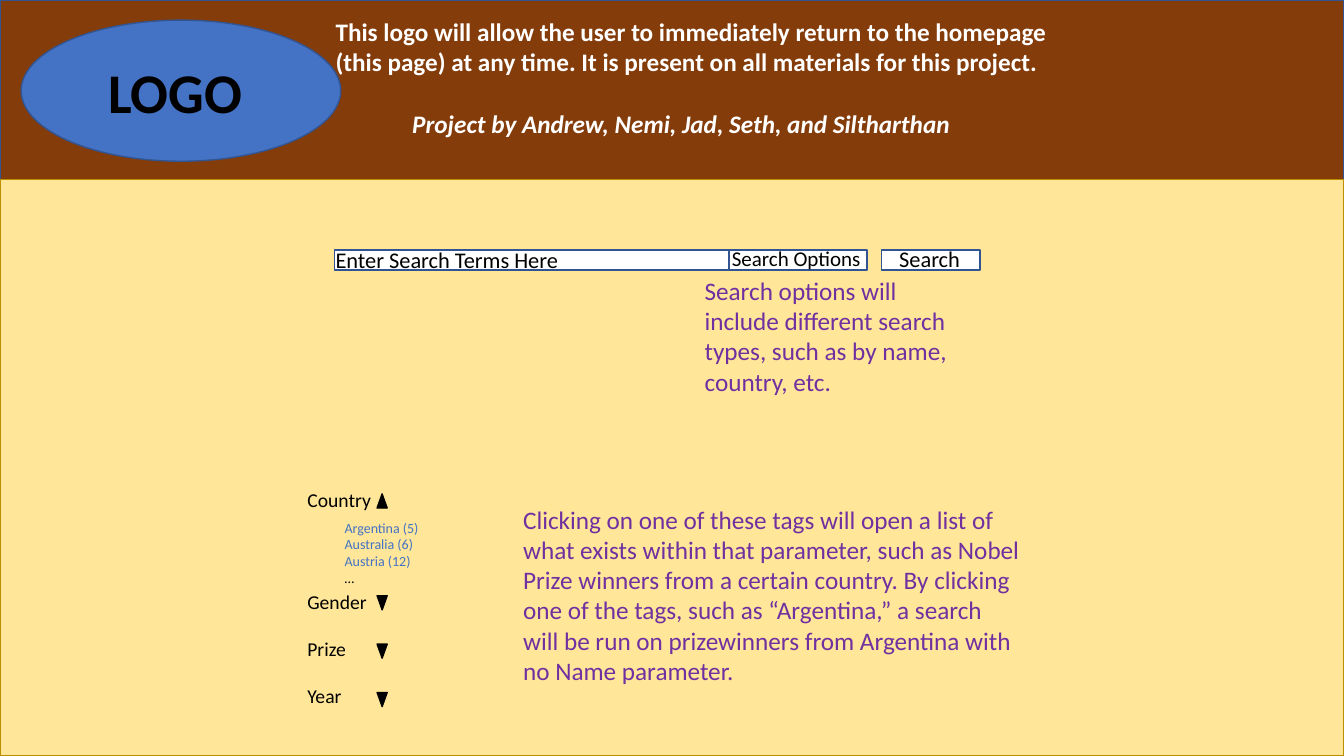
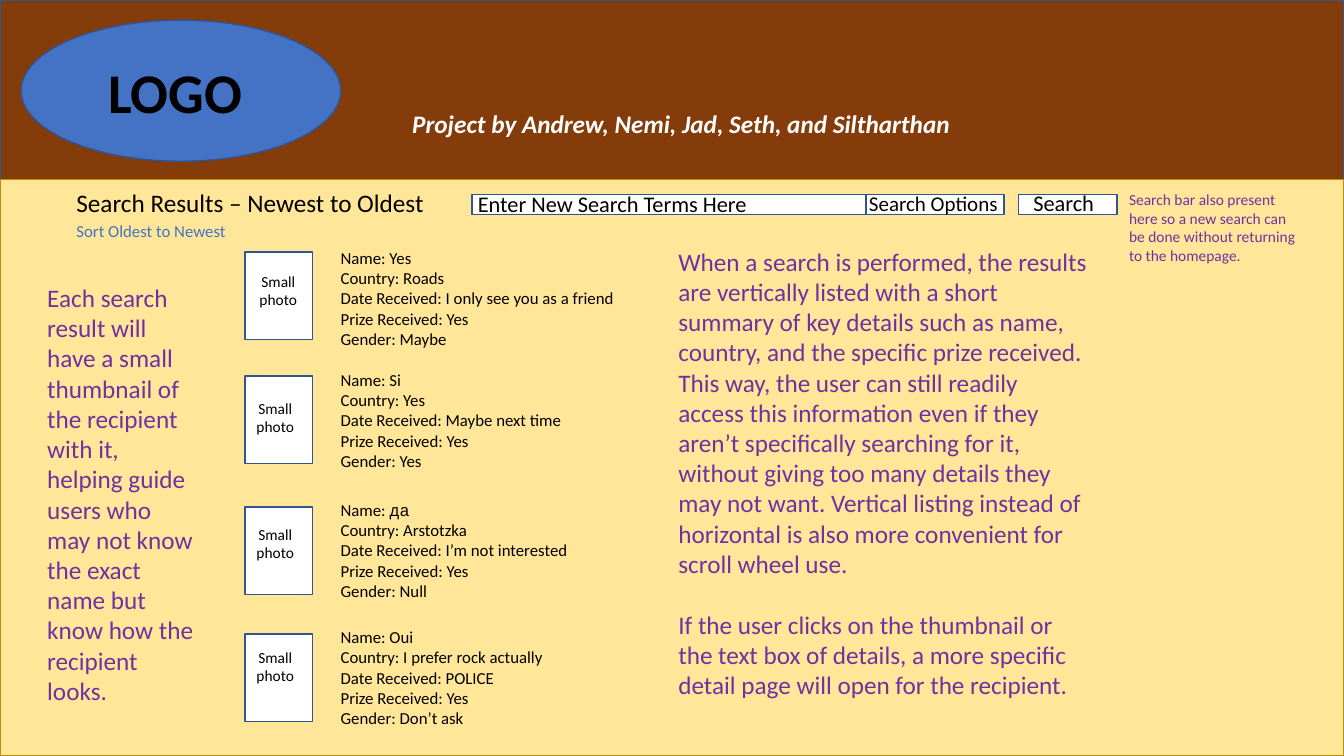
import pptx
import pptx.util
import pptx.dml.color
import pptx.enum.shapes
import pptx.enum.text
import lxml.etree

Inches, Pt = pptx.util.Inches, pptx.util.Pt
SHAPE = pptx.enum.shapes.MSO_SHAPE
CENTER = pptx.enum.text.PP_ALIGN.CENTER

# Shared style
COLORS = dict(band="843C0B", body="FFE699", body_line="BD8E00", blue="4472C4",
              line="325491", note="7030A0", white="FFFFFF", black="000000")
FONT = "Calibri"
LINE_HEIGHT = 1.22
NOTE = dict(size=18, color="note")

# Content: home page
LOGO_NOTE = ("This logo will allow the user to immediately return to the homepage "
             "(this page) at any time. It is present on all materials for this project.")
CREDIT = "Project by Andrew, Nemi, Jad, Seth, and Siltharthan"
OPTIONS_NOTE = ("Search options will include different search types, "
                "such as by name, country, etc. ")
COUNTRIES = ["Argentina (5)", "Australia (6)", "Austria (12)", ("…", dict(color="black"))]
CLOSED_TAGS = ["Gender", "Prize", "Year"]
TAGS_NOTE = ("Clicking on one of these tags will open a list of what exists within that "
             "parameter, such as Nobel Prize winners from a certain country. By clicking "
             "one of the tags, such as “Argentina,” a search will be run on prizewinners "
             "from Argentina with no Name parameter.")

# Content: results page
FIELDS = ["Name", "Country", "Date Received", "Prize Received", "Gender"]
RESULTS = [  # photo top, caption left, caption top, details top, values
    (2.5, 2.47, 2.65, 2.41, ["Yes", "Roads", "I only see you as a friend", "Yes", "Maybe"]),
    (3.73, 2.44, 3.91, 3.62, ["Si", "Yes", "Maybe next time", "Yes", "Yes"]),
    (5.03, 2.44, 5.16, 4.91,
     [("да", dict(name="Courier New")), "Arstotzka", "I’m not interested", "Yes", "Null"]),
    (6.29, 2.44, 6.38, 6.17,
     ["Oui", "I prefer rock actually", "POLICE", "Yes", "Don’t ask"]),
]
THUMBNAIL_NOTE = ("Each search result will have a small thumbnail of the recipient with it, "
                  "helping guide users who may not know the exact name but know how the "
                  "recipient looks.")
LISTING_NOTES = [
    "When a search is performed, the results are vertically listed with a short summary of "
    "key details such as name, country, and the specific prize received. This way, the user "
    "can still readily access this information even if they aren’t specifically searching "
    "for it, without giving too many details they may not want. Vertical listing instead of "
    "horizontal is also more convenient for scroll wheel use.",
    "If the user clicks on the thumbnail or the text box of details, a more specific detail "
    "page will open for the recipient.",
]
BAR_NOTE = ("Search bar also present here so a new search can be done without returning "
            "to the homepage.")


def rgb(key):
    return pptx.dml.color.RGBColor.from_string(COLORS[key])


def add_box(slide, at, fill="white", line="line", kind=SHAPE.RECTANGLE, rotation=0):
    sp = slide.shapes.add_shape(kind, *map(Inches, at))
    sp.shadow.inherit = False
    sp.fill.solid()
    sp.fill.fore_color.rgb = rgb(fill)
    sp.line.color.rgb = rgb(line)
    sp.line.width = Pt(1)
    sp.rotation = rotation


def add_text(slide, at, paragraphs, size, color="black", align=None, gap_lines=0, **style):
    """Each paragraph is a run or a list of runs; a run is text or (text, changes)."""
    if isinstance(paragraphs, str):
        paragraphs = [paragraphs]
    tf = slide.shapes.add_textbox(*map(Inches, at)).text_frame
    tf.word_wrap = True
    for i, runs in enumerate(paragraphs):
        p = tf.paragraphs[0] if i == 0 else tf.add_paragraph()
        p.alignment = align
        if i:
            p.space_before = Pt(round(gap_lines * size * LINE_HEIGHT))
        for run in runs if isinstance(runs, list) else [runs]:
            text, changes = run if isinstance(run, tuple) else (run, {})
            values = dict(name=FONT, size=Pt(size), color=color, **style)
            values.update(changes)
            r = p.add_run()
            r.text = text
            r.font.color.rgb = rgb(values.pop("color"))
            for key, value in values.items():
                setattr(r.font, key, value)
    return tf


def add_text_shadow(tf):
    effects = lxml.etree.fromstring(
        '<a:effectLst xmlns:a="http://schemas.openxmlformats.org/drawingml/2006/main">'
        '<a:outerShdw blurRad="38100" dist="38100" dir="2700000" algn="tl">'
        '<a:srgbClr val="000000"><a:alpha val="43000"/></a:srgbClr>'
        '</a:outerShdw></a:effectLst>')
    for p in tf.paragraphs:
        for r in p.runs:
            r.font.fill._xPr.find(pptx.oxml.ns.qn("a:solidFill")).addnext(effects)


def add_page(prs):
    slide = prs.slides.add_slide(prs.slide_layouts[6])
    add_box(slide, (0, 0, 13.33, 1.78), "band")
    add_box(slide, (0, 1.78, 13.33, 5.72), "body", "body_line")
    add_box(slide, (0.21, 0.2, 3.17, 1.4), "blue", kind=SHAPE.OVAL)
    add_text(slide, (0.83, 0.52, 1.94, 0.77), "LOGO ", 40, align=CENTER, bold=True)
    add_text_shadow(add_text(slide, (3.99, 1.03, 5.66, 0.4), CREDIT, 18, "white",
                             bold=True, italic=True))
    return slide


def add_search_bar(slide, left, top, prompt, prompt_dx, button_dx):
    for dx, width in [(0, 3.91), (3.91, 1.37), (5.42, 0.98)]:
        add_box(slide, (left + dx, top, width, 0.2))
    for text, dx, dy, width, size in [(prompt, prompt_dx, 0.09, 3.39, 16),
                                      ("Search Options", 3.84, 0.09, 1.51, 15),
                                      ("Search", button_dx, 0.1, 0.88, 16)]:
        add_text(slide, (left + dx, top - dy, width, 0.37), text, size)


def add_arrow(slide, left, top, rotation=0):
    add_box(slide, (left, top, 0.1, 0.14), "black", "black",
            SHAPE.FLOWCHART_EXTRACT, rotation)


prs = pptx.Presentation()
prs.slide_width, prs.slide_height = Inches(13.33), Inches(7.5)

# Home page
home = add_page(prs)
add_text(home, (3.23, 0.11, 7.31, 0.71), LOGO_NOTE, 18, "white", bold=True)
add_search_bar(home, 3.32, 2.48, "Enter Search Terms Here", -0.09, 5.5)
add_text(home, (6.89, 2.68, 2.76, 1.31), OPTIONS_NOTE, **NOTE)

# Tags: one open, the rest closed
add_text(home, (2.95, 4.79, 0.85, 0.34), "Country", 14)
add_arrow(home, 3.74, 4.9)
add_text(home, (3.32, 5.1, 1, 0.77), COUNTRIES, 10, "blue")
add_text(home, (2.95, 5.8, 1.12, 1.28), CLOSED_TAGS, 14, gap_lines=1)
for i in range(len(CLOSED_TAGS)):
    add_arrow(home, 3.74, 5.91 + 0.48 * i, 180)
add_text(home, (5.09, 4.95, 5.14, 1.92), TAGS_NOTE, **NOTE)

# Results page
results = add_page(prs)
add_text(results, (0.66, 1.81, 3.7, 0.4), "Search Results – Newest to Oldest", 18)
add_text(results, (0.66, 2.14, 1.69, 0.3), "Sort Oldest to Newest", 12, "blue")
add_search_bar(results, 4.68, 1.93, "Enter New Search Terms Here", -0.04, 5.47)

# Photo, caption and details of each result
for photo_top, caption_left, caption_top, details_top, values in RESULTS:
    add_box(results, (2.43, photo_top, 0.67, 0.87))
    add_text(results, (caption_left, caption_top, 0.58, 0.47), "Small photo", 11, align=CENTER)
    details = [[field + ": ", value] for field, value in zip(FIELDS, values)]
    add_text(results, (3.28, details_top, 2.95, 1.11), details, 12)

# Notes
add_text(results, (0.37, 2.75, 1.69, 4.34), THUMBNAIL_NOTE, **NOTE)
add_text(results, (6.63, 2.39, 4.27, 4.64), LISTING_NOTES, gap_lines=1, **NOTE)
add_text(results, (11.1, 1.84, 1.87, 0.84), BAR_NOTE, 11, "note")

prs.save("out.pptx")
